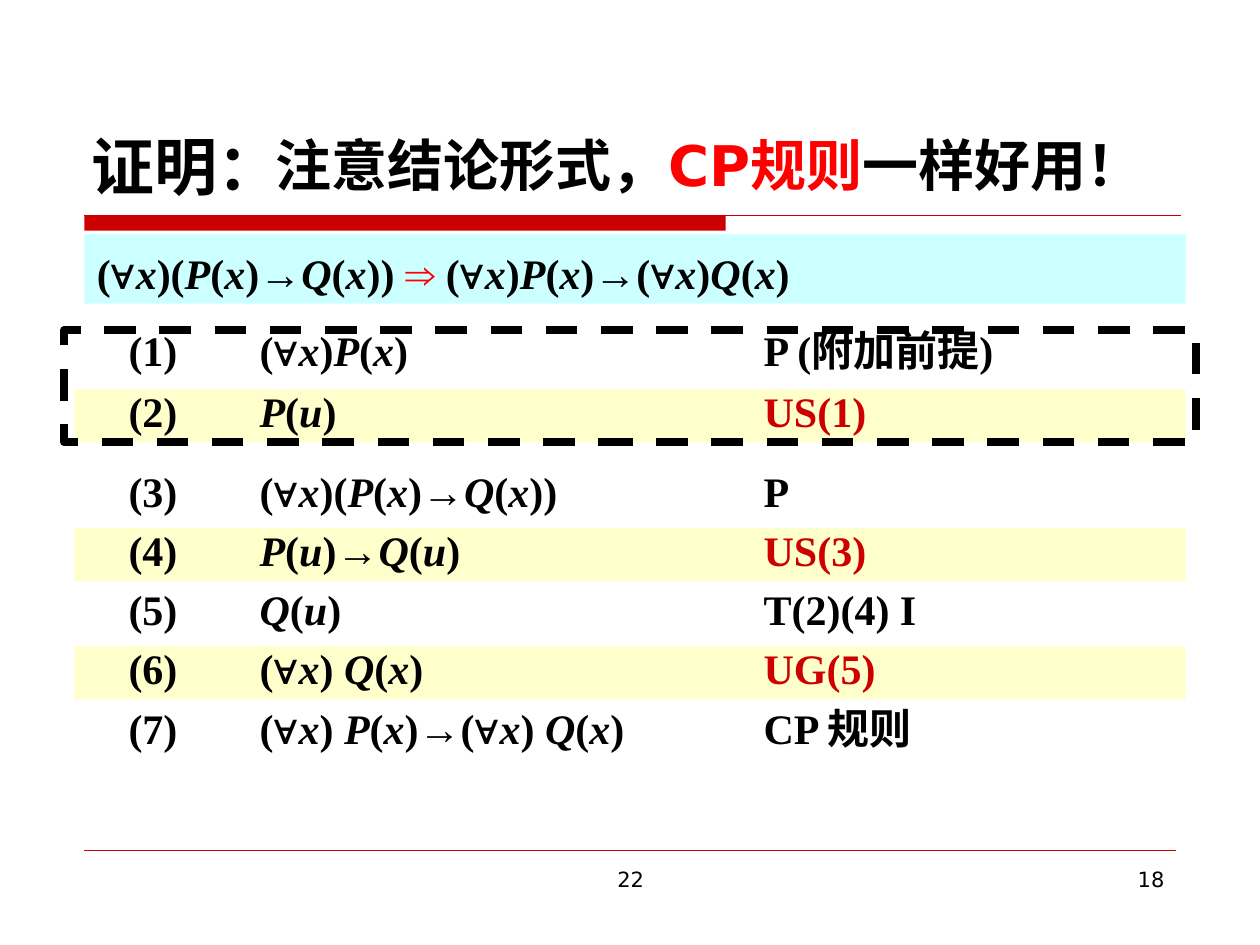
from itertools import groupby

from lxml.etree import SubElement
from pptx import Presentation
from pptx.dml.color import RGBColor
from pptx.enum.dml import MSO_LINE
from pptx.enum.shapes import MSO_CONNECTOR, MSO_SHAPE
from pptx.enum.text import MSO_ANCHOR, PP_ALIGN
from pptx.oxml.ns import qn
from pptx.util import Inches, Pt

COLORS = {
    "black": "000000",
    "red": "FF0000",
    "dark_red": "CC0000",
    "cyan": "CCFFFF",
    "yellow": "FFFFCC",
}
SANS, SERIF, SYMBOL = "DejaVu Sans", "Times New Roman", "Arial"

PREMISE_STEPS = [
    ("(1)", "(∀x)P(x)", "P (附加前提)"),
    ("(2)", "P(u)", "US(1)"),
]
DERIVED_STEPS = [
    ("(3)", "(∀x)(P(x)→Q(x))", "P"),
    ("(4)", "P(u)→Q(u)", "US(3)"),
    ("(5)", "Q(u)", "T(2)(4) I"),
    ("(6)", "(∀x) Q(x)", "UG(5)"),
    ("(7)", "(∀x) P(x)→(∀x) Q(x)", "CP 规则"),
]


def rgb(name):
    """Return the named colour."""
    return RGBColor.from_string(COLORS[name])


def add_box(slide, box, fill=None):
    """Add a rectangle without outline, filled if a colour is given."""
    shape = slide.shapes.add_shape(MSO_SHAPE.RECTANGLE, *map(Inches, box))
    shape.shadow.inherit = False
    shape.line.fill.background()
    if fill:
        shape.fill.solid()
        shape.fill.fore_color.rgb = rgb(fill)
    else:
        shape.fill.background()
    return shape


def add_rule(slide, left, right, y, width):
    """Add a thin horizontal dark red line."""
    line = slide.shapes.add_connector(
        MSO_CONNECTOR.STRAIGHT, Inches(left), Inches(y), Inches(right), Inches(y))
    line.line.color.rgb = rgb("dark_red")
    line.line.width = Pt(width)
    SubElement(line._element.spPr, qn("a:effectLst"))


def start_text(shape, font, size, bold=True, align=PP_ALIGN.LEFT, anchor=MSO_ANCHOR.TOP):
    """Prepare the first paragraph of a shape and return it."""
    frame = shape.text_frame
    frame.word_wrap = True
    frame.vertical_anchor = anchor
    paragraph = frame.paragraphs[0]
    paragraph.alignment = align
    paragraph.font.name = font
    paragraph.font.size = Pt(size)
    paragraph.font.bold = bold
    paragraph.font.color.rgb = rgb("black")
    return paragraph


def add_run(paragraph, text, color=None):
    """Append a run, coloured if a colour is given."""
    run = paragraph.add_run()
    run.text = text
    if color:
        run.font.color.rgb = rgb(color)
    return run


def char_style(char):
    """Tell letters, logic symbols and other characters apart."""
    if char.isalpha():
        return "letter"
    return {"⇒": "implies", "∀": "symbol", "→": "symbol"}.get(char, "plain")


def add_formula(paragraph, formula):
    """Append a formula with italic letters and logic symbols."""
    for style, chars in groupby(formula, char_style):
        run = add_run(paragraph, "".join(chars), "red" if style == "implies" else None)
        if style == "letter":
            run.font.italic = True
        elif style != "plain":
            run.font.name = SYMBOL


def add_title(slide, left, top, width, height):
    """Place the heading, its remark and the bar below them."""
    heading = slide.shapes.add_textbox(*map(Inches, (left, top, width, height)))
    add_run(start_text(heading, SANS, 36, anchor=MSO_ANCHOR.BOTTOM), "证明：")
    remark = slide.shapes.add_textbox(
        Inches(left + 1.46), Inches(top + 0.66), Inches(7.4), Inches(0.64))
    paragraph = start_text(remark, SANS, 32)
    add_run(paragraph, "注意结论形式，")
    add_run(paragraph, "CP规则", "red")
    add_run(paragraph, "一样好用！")
    bar_top = top + height + 0.05
    add_box(slide, (left + 0.04, bar_top, 5.09, 0.12), "dark_red")
    add_rule(slide, left + 0.04, left + width - 0.01, bar_top, 0.75)


def add_statement(slide, box):
    """Place the statement to prove on its cyan band."""
    shape = add_box(slide, box, "cyan")
    paragraph = start_text(shape, SERIF, 24, anchor=MSO_ANCHOR.BOTTOM)
    add_formula(paragraph, "(∀x)(P(x)→Q(x)) ⇒ (∀x)P(x)→(∀x)Q(x)")


def add_step(slide, box, step):
    """Place one proof step, highlighted if it uses a quantifier rule."""
    number, formula, reason = step
    quantifier_rule = reason.startswith("U")
    shape = add_box(slide, box, "yellow" if quantifier_rule else None)
    shape.text_frame.margin_left = Inches(0.43)
    paragraph = start_text(shape, SERIF, 24)
    paragraph.line_spacing = 0.8
    tabs = SubElement(paragraph._p.get_or_add_pPr(), qn("a:tabLst"))
    properties = tabs.getparent()
    properties.find(qn("a:defRPr")).addprevious(tabs)
    for position in (1.04, 5.04):
        SubElement(tabs, qn("a:tab"), pos=str(Inches(position)), algn="l")
    add_run(paragraph, number + "\t")
    add_formula(paragraph, formula)
    add_run(paragraph, "\t" + reason, "dark_red" if quantifier_rule else None)


def add_steps(slide, left, top, width, pitch, steps):
    """Place a group of proof steps at equal distances."""
    for index, step in enumerate(steps):
        add_step(slide, (left, top + index * pitch, width, 0.42), step)


def add_dashed_frame(slide, box):
    """Place the dashed frame around the added premise."""
    frame = add_box(slide, box)
    frame.line.color.rgb = rgb("black")
    frame.line.width = Pt(4.5)
    frame.line.dash_style = MSO_LINE.DASH


def add_footer(slide, left, top, width):
    """Place the footer line, the centre number and the page number."""
    add_rule(slide, left, left + width, top, 0.25)
    for offset, box_width, text, align in (
        (2.75, 3.17, "22", PP_ALIGN.CENTER),
        (6.5, 2.17, "18", PP_ALIGN.RIGHT),
    ):
        box = slide.shapes.add_textbox(
            Inches(left + offset), Inches(top + 0.08), Inches(box_width), Inches(0.52))
        add_run(start_text(box, SANS, 12, bold=False, align=align), text)


def main():
    """Build the slide and save it."""
    presentation = Presentation()
    presentation.slide_width, presentation.slide_height = Inches(10), Inches(7.5)
    slide = presentation.slides.add_slide(presentation.slide_layouts[6])
    add_footer(slide, 0.67, 6.75, 8.66)
    add_title(slide, 0.63, 0.33, 8.75, 1.33)
    add_statement(slide, (0.67, 1.86, 8.74, 0.55))
    add_steps(slide, 0.59, 2.6, 8.82, 0.49, PREMISE_STEPS)
    add_steps(slide, 0.59, 3.72, 8.82, 0.47, DERIVED_STEPS)
    add_dashed_frame(slide, (0.51, 2.62, 8.98, 0.89))
    presentation.save("out.pptx")


if __name__ == "__main__":
    main()
